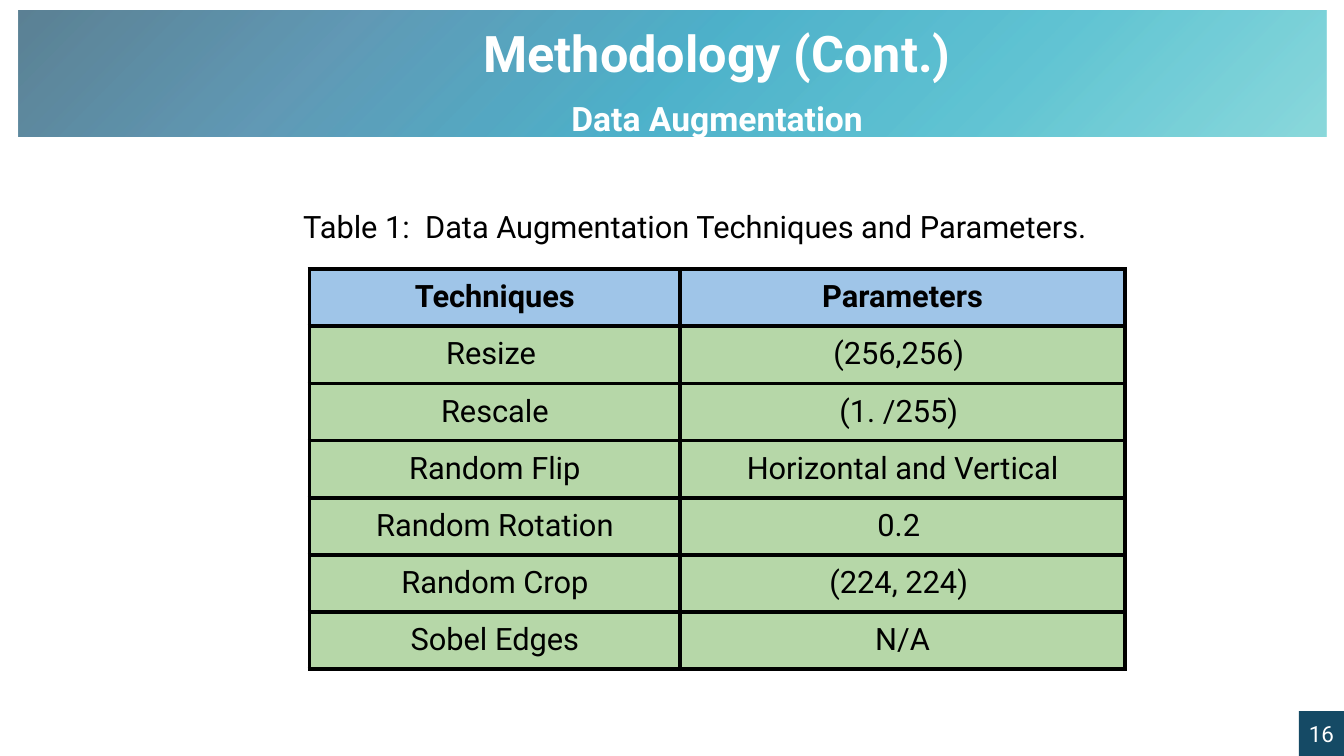
from lxml import etree
from pptx import Presentation
from pptx.dml.color import RGBColor
from pptx.enum.shapes import MSO_SHAPE as Shape
from pptx.enum.text import MSO_ANCHOR as Anchor, PP_ALIGN as Align
from pptx.oxml.ns import qn
from pptx.util import Pt

COLOURS = {
    "navy": "154A65", "blue": "1C6E96", "ocean": "018FB3", "teal": "1DABC0",
    "aqua": "59C8CC", "white": "FFFFFF", "black": "000000",
    "header": "9FC5E8", "body": "B6D7A8",
}
BANNER_STOPS = ["aqua", "teal", "ocean", "blue", "navy"]
BANNER_OPACITY = 69
TECHNIQUES = [
    ("Techniques", "Parameters"),
    ("Resize ", "(256,256) "),
    ("Rescale", "(1. /255) "),
    ("Random Flip", "Horizontal and Vertical"),
    ("Random Rotation", "0.2 "),
    ("Random Crop", "(224, 224) "),
    ("Sobel Edges", "N/A"),
]


def colour(name):
    return RGBColor.from_string(COLOURS[name])


def set_all(target, values):
    for name, value in values.items():
        setattr(target, name, value)


def write(frame, text, size, ink, bold=False, align=Align.CENTER, spacing=None):
    para = frame.paragraphs[0]
    set_all(para, {"alignment": align, "line_spacing": spacing})
    span = para.add_run()
    span.text = text
    set_all(span.font, {"name": "Roboto", "size": Pt(size), "bold": bold})
    span.font.color.rgb = colour(ink)


def set_margins(target, side, end):
    set_all(target, {"margin_left": Pt(side), "margin_right": Pt(side),
                     "margin_top": Pt(end), "margin_bottom": Pt(end)})


def add_label(page, box, margins, anchor, **style):
    frame = page.shapes.add_textbox(*map(Pt, box)).text_frame
    set_all(frame, {"word_wrap": True, "vertical_anchor": anchor})
    set_margins(frame, *margins)
    write(frame, **style)


def add_rectangle(page, box):
    shape = page.shapes.add_shape(Shape.RECTANGLE, *map(Pt, box))
    shape.shadow.inherit = False
    shape.line.fill.background()
    return shape


def fill_gradient(shape, names, opacity):
    shape.fill.gradient()
    shape.fill.gradient_angle = 135
    stops = next(shape._element.iter(qn("a:gsLst")))
    for stop in list(stops):
        stops.remove(stop)
    for index, name in enumerate(names):
        position = index * 100000 // (len(names) - 1)
        stop = etree.SubElement(stops, qn("a:gs"), pos=str(position))
        tint = etree.SubElement(stop, qn("a:srgbClr"), val=COLOURS[name])
        etree.SubElement(tint, qn("a:alpha"), val=str(opacity * 1000))


def add_banner(page, left, top, width, height):
    banner = add_rectangle(page, (left, top, width, height))
    fill_gradient(banner, BANNER_STOPS, BANNER_OPACITY)
    # Title and subtitle
    add_label(page, (left + 134.6, top + 6.5, 729.4, 49), (0, 3.6), Anchor.BOTTOM,
              text="Methodology (Cont.)", size=36, ink="white", bold=True)
    add_label(page, (left + 326.8, top + 44.6, 344.9, 51.1), (0, 3.6), Anchor.TOP,
              text="Data Augmentation", size=24, ink="white", bold=True, spacing=1.5)


def border_cell(cell, width):
    properties = cell._tc.get_or_add_tcPr()
    for index, side in enumerate(("lnL", "lnR", "lnT", "lnB")):
        line = etree.Element(qn(f"a:{side}"), w=str(Pt(width)))
        solid = etree.SubElement(line, qn("a:solidFill"))
        etree.SubElement(solid, qn("a:srgbClr"), val=COLOURS["black"])
        properties.insert(index, line)


def add_techniques(page, left, top, width, height):
    # Caption
    add_label(page, (left - 11.5, top - 51.1, 604.8, 41), (7.2, 7.2), Anchor.TOP,
              text="Table 1:  Data Augmentation Techniques and Parameters.",
              size=22, ink="black", align=Align.LEFT)
    # Table
    rows = len(TECHNIQUES)
    table = page.shapes.add_table(rows, 2, *map(Pt, (left, top, width, height))).table
    set_all(table, {"first_row": False, "horz_banding": False})
    first = 265
    for column, size in zip(table.columns, (first, width - first)):
        column.width = Pt(size)
    for row_index, values in enumerate(TECHNIQUES):
        table.rows[row_index].height = Pt(height / rows)
        is_header = row_index == 0
        for column_index, text in enumerate(values):
            cell = table.cell(row_index, column_index)
            set_margins(cell, 7.2, 7.2)
            cell.fill.solid()
            cell.fill.fore_color.rgb = colour("header" if is_header else "body")
            border_cell(cell, 3)
            write(cell.text_frame, text, 22, "black", bold=is_header)


def add_page_number(page, left, top, width, height):
    badge = add_rectangle(page, (left, top, width, height))
    badge.fill.solid()
    badge.fill.fore_color.rgb = colour("navy")
    badge.text_frame.vertical_anchor = Anchor.MIDDLE
    set_margins(badge.text_frame, 0, 0)
    write(badge.text_frame, "16", 16, "white")


def main():
    deck = Presentation()
    set_all(deck, {"slide_width": Pt(960), "slide_height": Pt(540)})
    page = deck.slides.add_slide(deck.slide_layouts[6])
    add_banner(page, 13, 7.2, 934.6, 90)
    add_techniques(page, 221, 192.2, 582.5, 285.6)
    add_page_number(page, 927.9, 507.9, 32.1, 32.1)
    deck.save("out.pptx")


if __name__ == "__main__":
    main()
